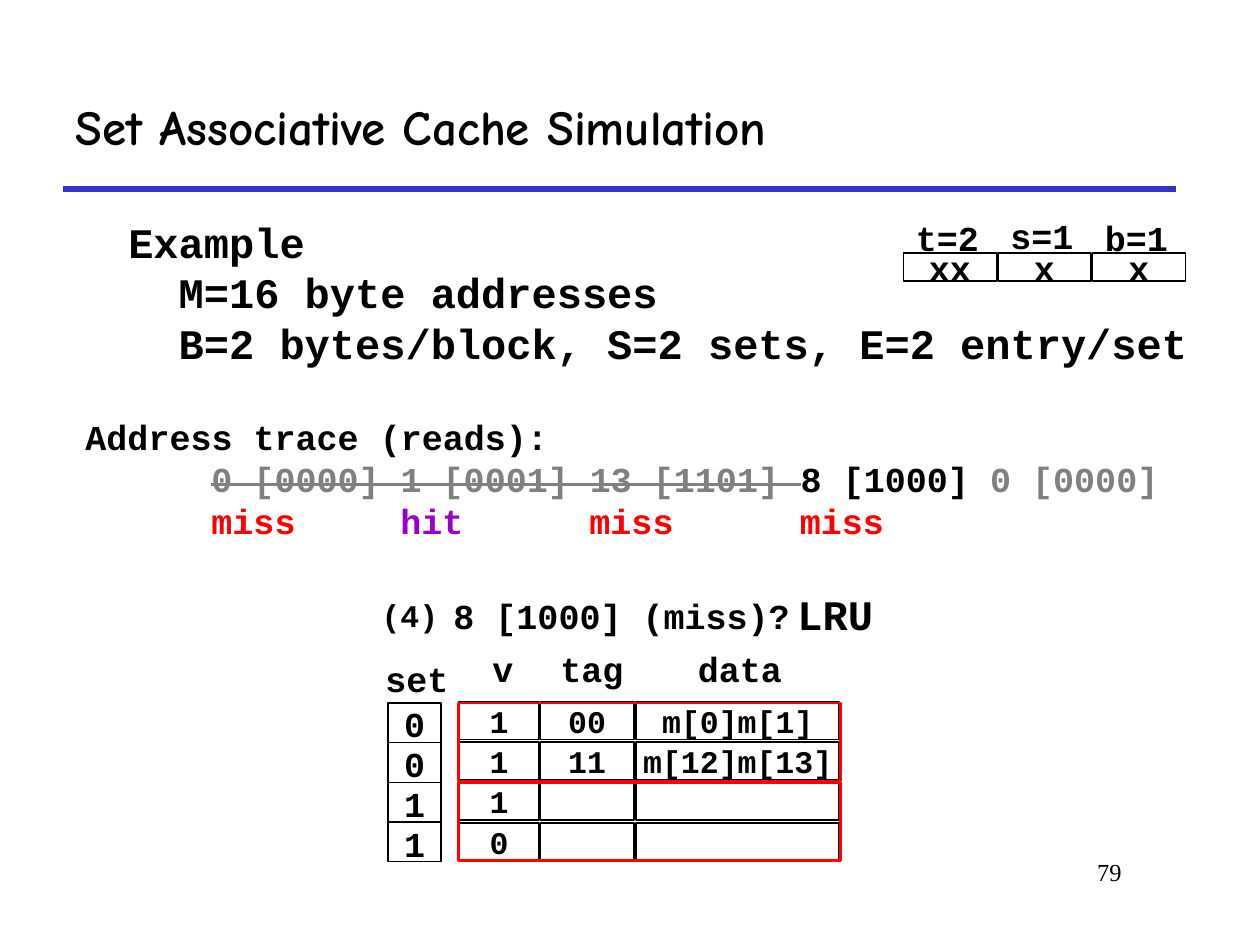
import pptx
import pptx.util
import pptx.dml.color
import pptx.enum.shapes
import pptx.enum.text
import pptx.oxml
import dataclasses
import itertools

Inches, Pt = pptx.util.Inches, pptx.util.Pt
ALIGN = pptx.enum.text.PP_ALIGN
ANCHOR = pptx.enum.text.MSO_ANCHOR


@dataclasses.dataclass(frozen=True)
class Theme:
    title_font: str = "Comic Neue"
    mono: str = "Courier New"
    serif: str = "Times New Roman"
    black: str = "000000"
    white: str = "FFFFFF"
    grey: str = "808080"
    rule: str = "3333CC"
    miss: str = "FF0000"
    hit: str = "9900CC"
    title: int = 28
    large: int = 24
    medium: int = 20
    small: int = 18
    number: int = 14


T = Theme()

# Cache grid: one row per line, columns v, tag and data
ROW_TOP, ROW_STEP, ROW_HEIGHT = 5.57, 0.32, 0.3
COLUMNS = [(3.64, 0.64), (4.29, 0.74), (5.05, 1.61)]
CACHE = [("1", "00", "m[0]m[1]"), ("1", "11", "m[12]m[13]"), ("1", "", ""), ("0", "", "")]
HEADINGS = [("v", 3.81, 0.37), ("tag", 4.35, 0.7), ("data", 5.44, 0.87)]

# Set column beside the cache
SET_LEFT, SET_TOP, SET_WIDTH, SET_STEP = 3.08, 5.58, 0.42, 0.31
SET_INDEXES = "0011"

# Address fields: label, bits, label top
FIELD_LEFT, FIELD_STEP = 7.17, 0.75
FIELDS = [("t=2", "xx", 1.67), ("s=1", "x", 1.65), ("b=1", "x", 1.67)]

TRACE_TABS = [1, 2.5, 4, 5.67]


def rgb(color):
    return pptx.dml.color.RGBColor.from_string(color)


def add_run(p, text, size, color=T.black, font=T.mono, bold=True, strike=False):
    r = p.add_run()
    r.text = text
    r.font.size, r.font.name, r.font.bold = Pt(size), font, bold
    r.font.color.rgb = rgb(color)
    if strike:
        r.font._element.set("strike", "sngStrike")


def add_text(s, box, text="", size=T.medium, wrap=False, align=ALIGN.LEFT, **style):
    """Add a text box and return its text frame."""
    tf = s.shapes.add_textbox(*map(Inches, box)).text_frame
    tf.word_wrap = wrap
    tf.paragraphs[0].alignment = align
    if text:
        add_run(tf.paragraphs[0], text, size, **style)
    return tf


def add_box(s, box, text="", size=T.small, fill=None, line=T.black, width=1):
    sp = s.shapes.add_shape(pptx.enum.shapes.MSO_SHAPE.RECTANGLE, *map(Inches, box))
    sp.shadow.inherit = False
    if fill:
        sp.fill.solid()
        sp.fill.fore_color.rgb = rgb(fill)
    else:
        sp.fill.background()
    sp.line.color.rgb = rgb(line)
    sp.line.width = Pt(width)
    if text:
        tf = sp.text_frame
        tf.word_wrap = False
        tf.vertical_anchor = ANCHOR.MIDDLE
        tf.paragraphs[0].alignment = ALIGN.CENTER
        add_run(tf.paragraphs[0], text, size)


def add_rule(s, left, right, y, color, width):
    line = s.shapes.add_connector(pptx.enum.shapes.MSO_CONNECTOR.STRAIGHT,
                                  Inches(left), Inches(y), Inches(right), Inches(y))
    line.line.color.rgb = rgb(color)
    line.line.width = Pt(width)
    pptx.oxml.ns  # namespace map used by the element below
    line._element.spPr.append(pptx.oxml.xmlchemy.OxmlElement("a:effectLst"))


def set_tabs(p, stops):
    tabs = pptx.oxml.xmlchemy.OxmlElement("a:tabLst")
    for stop in stops:
        tab = pptx.oxml.xmlchemy.OxmlElement("a:tab")
        tab.set("pos", str(Inches(stop)))
        tab.set("algn", "l")
        tabs.append(tab)
    p._p.get_or_add_pPr().append(tabs)


def add_title(s, text):
    sp = s.shapes.title
    sp.left, sp.top, sp.width, sp.height = map(Inches, (0.5, 0.5, 8.83, 1))
    tf = sp.text_frame
    tf.vertical_anchor = ANCHOR.MIDDLE
    tf.paragraphs[0].alignment = ALIGN.LEFT
    add_run(tf.paragraphs[0], text, T.title, font=T.title_font)
    add_rule(s, 0.5, 9.33, 1.5, T.rule, 3)


def add_example(s):
    tf = add_text(s, (0.92, 1.67, 8.67, 1.33), "Example", T.large, wrap=True)
    for text in ("M=16 byte addresses", "B=2 bytes/block, S=2 sets, E=2 entry/set"):
        p = tf.add_paragraph()
        p._p.get_or_add_pPr().set("marL", str(Inches(0.4)))
        add_run(p, text, T.large)


def add_trace(s):
    tf = add_text(s, (0.58, 3.25, 9.08, 1.11), "Address trace (reads):", wrap=True)
    reads, results = tf.add_paragraph(), tf.add_paragraph()
    for p in (reads, results):
        set_tabs(p, TRACE_TABS)
    add_run(reads, "\t", T.medium)
    add_run(reads, "0 [0000] 1 [0001] 13 [1101] ", T.medium, T.grey, strike=True)
    add_run(reads, "8 [1000] ", T.medium)
    add_run(reads, "0 [0000]", T.medium, T.grey)
    for result in ("miss", "hit", "miss", "miss"):
        add_run(results, "\t" + result, T.medium, T.hit if result == "hit" else T.miss)


def add_address_fields(s):
    for i, (label, bits, top) in enumerate(FIELDS):
        left = FIELD_LEFT + i * FIELD_STEP
        add_box(s, (left, 2.01, 0.74, 0.22), bits, T.medium, fill=T.white)
        add_text(s, (left, top, 0.7, 0.43), label)


def add_cache(s):
    for heading, left, width in HEADINGS:
        add_text(s, (left, 5.09, width, 0.43), heading)
    for i, row in enumerate(CACHE):
        for (left, width), value in zip(COLUMNS, row):
            add_box(s, (left, ROW_TOP + i * ROW_STEP, width, ROW_HEIGHT), value, fill=T.white)
    for i in range(2):
        add_box(s, (3.64, 5.58 + i * 0.63, 3.03, 0.62), line=T.miss, width=1.5)


def add_set_column(s):
    add_text(s, (2.96, 5.17, 0.71, 0.44), "set")
    step = 1.26 / len(SET_INDEXES)
    add_box(s, (SET_LEFT, SET_TOP, SET_WIDTH, 1.26), width=0.75)
    for i, index in enumerate(SET_INDEXES):
        y = SET_TOP + i * step
        if i:
            add_rule(s, SET_LEFT, SET_LEFT + SET_WIDTH, y, T.black, 0.75)
        add_text(s, (SET_LEFT, y - 0.05, SET_WIDTH, 0.43), index, align=ALIGN.CENTER)


def main():
    prs = pptx.Presentation()
    prs.slide_width, prs.slide_height = Inches(10), Inches(7.5)
    s = prs.slides.add_slide(prs.slide_layouts[5])
    add_title(s, "Set Associative Cache Simulation")
    add_example(s)
    add_trace(s)
    add_address_fields(s)
    add_text(s, (2.93, 4.68, 0.65, 0.4), "(4)", T.small)
    add_text(s, (3.5, 4.67, 2.89, 0.43), "8 [1000] (miss)?")
    add_text(s, (6.23, 4.62, 0.81, 0.5), "LRU", T.large)
    add_cache(s)
    add_set_column(s)
    add_text(s, (7.58, 6.75, 1.42, 0.5), "79", T.number, wrap=True,
             align=ALIGN.RIGHT, font=T.serif, bold=False)
    prs.save("out.pptx")


if __name__ == "__main__":
    main()
